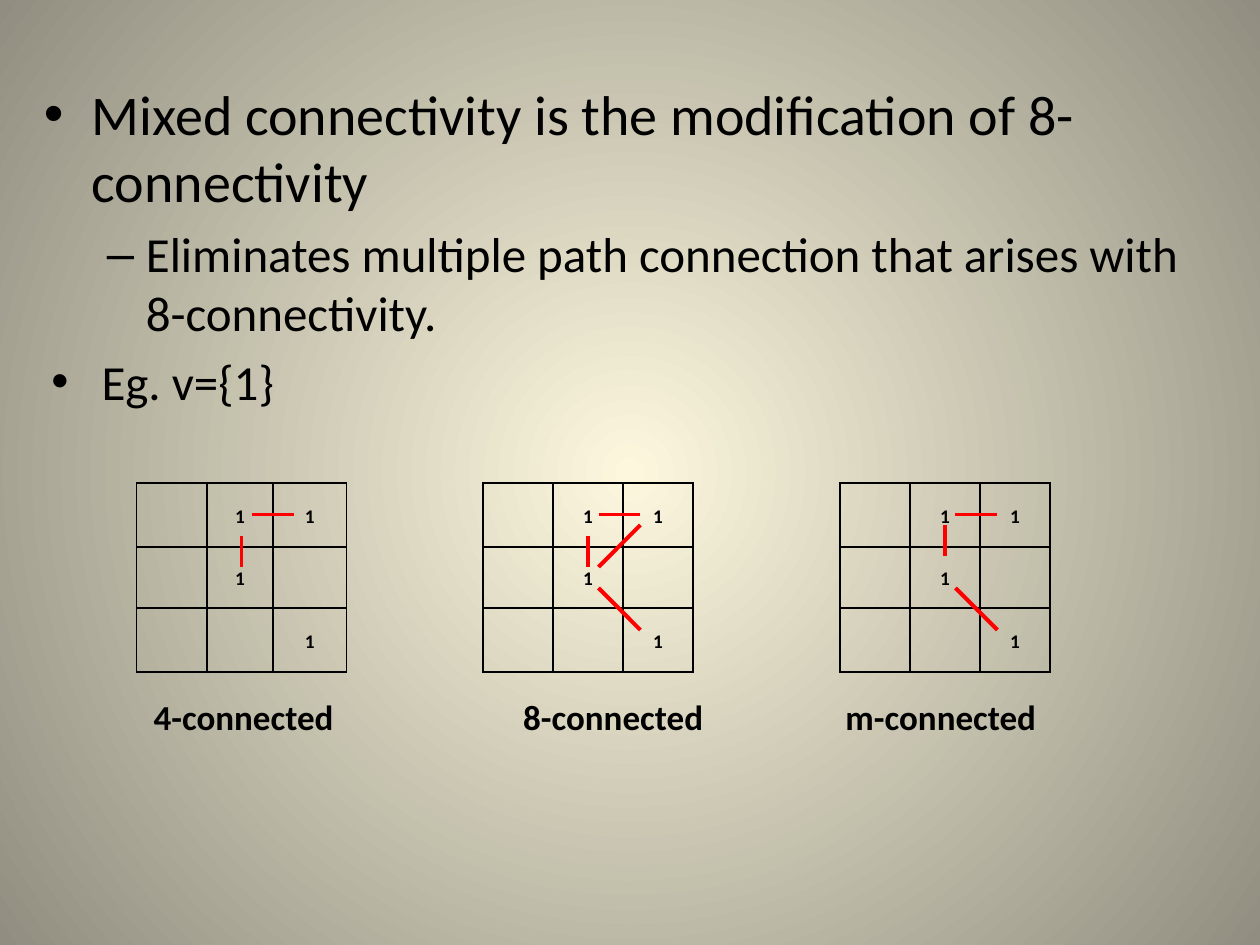
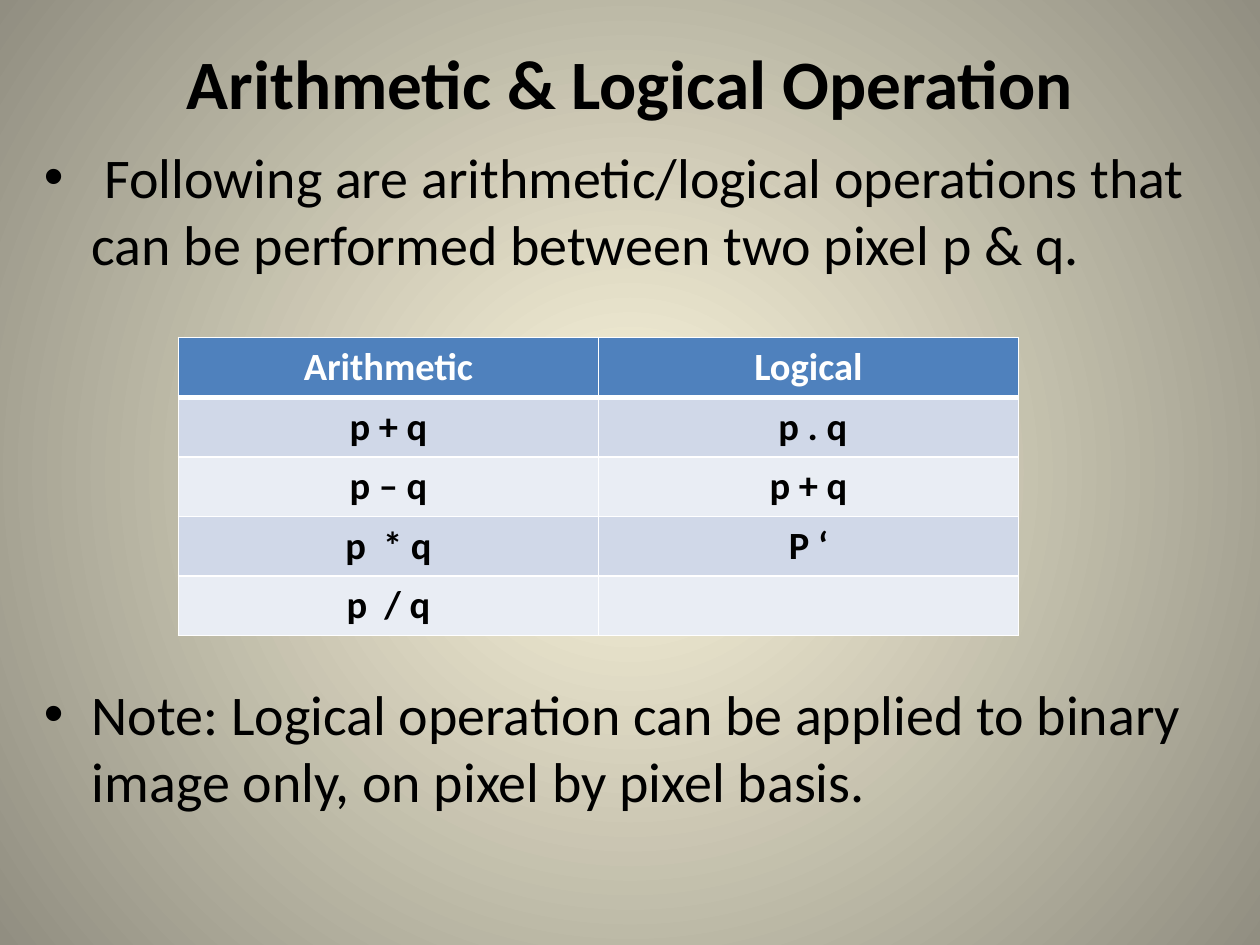
from dataclasses import dataclass
from typing import Any

from lxml.etree import SubElement
from pptx import Presentation
from pptx.dml.color import RGBColor
from pptx.enum.shapes import MSO_CONNECTOR
from pptx.enum.text import MSO_ANCHOR, PP_ALIGN
from pptx.oxml.ns import qn
from pptx.util import Emu, Inches, Pt

STRAIGHT = MSO_CONNECTOR.STRAIGHT
MIDDLE = MSO_ANCHOR.MIDDLE
CENTER = PP_ALIGN.CENTER
LEFT = PP_ALIGN.LEFT

FONT = "Calibri"
BLACK, WHITE, RED = "000000", "FFFFFF", "FF0000"
GLOW, EDGE = "FCF7DD", "918E81"
BLUE, BANDS = "4F81BD", ("D0D8E8", "E9EDF4")

WIDTH, HEIGHT = Inches(10), Inches(7.5)
COLS, ROWS = 120, 90

Link = tuple[int, int, int, int]
ACROSS: Link = (15, 3, 11, 3)
DOWN: Link = (10, 5, 10, 8)
RISE: Link = (15, 4, 11, 8)
FALL: Link = (15, 14, 11, 10)
ONES = (" 11", " 1 ", "  1")
GRID_TOP = 46


@dataclass
class Point:
    text: str
    size: float = 32
    left: float = 0.38
    hang: float = 0.38
    mark: str = "•"
    gap: float = 6.4


@dataclass
class Pixels:
    col: int
    cuts: tuple[float, float, float]
    name: str
    mid: float
    links: tuple[Link, ...]


def hue(code: str) -> RGBColor:
    return RGBColor.from_string(code)


def across(cols: float) -> Emu:
    return Emu(round(WIDTH * cols / COLS))


def down(rows: float) -> Emu:
    return Emu(round(HEIGHT * rows / ROWS))


def style(part: Any, size: float, bold: bool = False,
          code: str = BLACK, align: Any = CENTER) -> None:
    part.alignment = align
    for font in [part.font, *(run.font for run in part.runs)]:
        font.name, font.size, font.bold = FONT, Pt(size), bold
        font.color.rgb = hue(code)


def add_box(slide: Any, left: float, top: float, wide: float, high: float) -> Any:
    frame = slide.shapes.add_textbox(
        across(left), down(top), across(wide), down(high)).text_frame
    frame.word_wrap = True
    return frame


def add_label(slide: Any, left: float, top: float, wide: float, high: float,
              text: str, size: float) -> None:
    frame = add_box(slide, left, top, wide, high)
    frame.vertical_anchor = MIDDLE
    frame.text = text
    style(frame.paragraphs[0], size, True)


def add_points(slide: Any, top: float, high: float, points: list[Point]) -> None:
    frame = add_box(slide, 3, top, 114, high)
    for index, point in enumerate(points):
        part = frame.add_paragraph() if index else frame.paragraphs[0]
        part.text = point.text
        style(part, point.size, align=LEFT)
        part.space_before = Pt(point.gap)
        props = part._p.get_or_add_pPr()
        props.set("marL", str(Inches(point.left)))
        props.set("indent", str(-Inches(point.hang)))
        SubElement(props, qn("a:buFont"), typeface="Arial")
        SubElement(props, qn("a:buChar"), char=point.mark)


def set_edges(cell: Any, code: str, top: float = 1, base: float = 1) -> None:
    props = cell._tc.get_or_add_tcPr()
    for side, width in (("L", 1), ("R", 1), ("T", top), ("B", base)):
        line = SubElement(props, qn(f"a:ln{side}"), w=str(Pt(width)))
        fill = SubElement(line, qn("a:solidFill"))
        SubElement(fill, qn("a:srgbClr"), val=code)


def add_table(slide: Any, left: float, top: float,
              wides: list[float], highs: list[float]) -> Any:
    table = slide.shapes.add_table(
        len(highs), len(wides), across(left), down(top),
        across(sum(wides)), down(sum(highs))).table
    table.first_row = table.horz_banding = False
    for col, wide in zip(table.columns, wides):
        col.width = across(wide)
    for row, high in zip(table.rows, highs):
        row.height = down(high)
    return table


def add_link(slide: Any, col: int, link: Link) -> None:
    x1, y1, x2, y2 = link
    line = slide.shapes.add_connector(
        STRAIGHT, across(col + x1), down(GRID_TOP + y1),
        across(col + x2), down(GRID_TOP + y2))
    line.line.color.rgb = hue(RED)
    line.line.width = Pt(2.25)
    SubElement(line._element.spPr, qn("a:effectLst"))


def add_pixels(slide: Any, grid: Pixels) -> None:
    table = add_table(slide, grid.col, GRID_TOP, list(grid.cuts), [6.1, 5.8, 6.1])
    for row, marks in enumerate(ONES):
        for col, mark in enumerate(marks):
            cell = table.cell(row, col)
            cell.text = mark.strip()
            cell.vertical_anchor = MIDDLE
            cell.margin_left = cell.margin_right = Inches(0.07)
            cell.margin_top = cell.margin_bottom = 0
            part = cell.text_frame.paragraphs[0]
            style(part, 11, True)
            part.line_spacing = 1.15
            set_edges(cell, BLACK)
            cell.fill.background()
    for link in grid.links:
        add_link(slide, grid.col, link)
    add_label(slide, grid.col + grid.mid - 12, 65.6, 24, 5.2, grid.name, 20)


def add_facts(slide: Any, facts: list[tuple[str, str]]) -> None:
    table = add_table(slide, 17, 32.15, [40, 40], [5.68] * len(facts))
    for row, texts in enumerate(facts):
        for col, text in enumerate(texts):
            cell = table.cell(row, col)
            cell.text = text
            style(cell.text_frame.paragraphs[0], 22, True, BLACK if row else WHITE)
            set_edges(cell, WHITE, 3 if row == 1 else 1, 1 if row else 3)
            cell.fill.solid()
            cell.fill.fore_color.rgb = hue(BANDS[(row - 1) % 2] if row else BLUE)


def set_back(master: Any) -> None:
    fill = master.background.fill
    fill.gradient()
    for stop, code, place in zip(fill.gradient_stops, (GLOW, EDGE), (0, 1)):
        stop.color.rgb = hue(code)
        stop.position = place
    for ramp in master.element.cSld.xpath("./p:bg//a:gradFill"):
        for lin in ramp.findall(qn("a:lin")):
            ramp.remove(lin)
        ring = SubElement(ramp, qn("a:path"), path="circle")
        SubElement(ring, qn("a:fillToRect"),
                   {side: "50000" for side in "ltrb"})


deck = Presentation()
deck.slide_width, deck.slide_height = WIDTH, HEIGHT
set_back(deck.slide_master)
blank = deck.slide_layouts[6]

mixed = deck.slides.add_slide(blank)
add_points(mixed, 7, 36, [
    Point("Mixed connectivity is the modification of 8- connectivity"),
    Point("Eliminates multiple path connection that arises with 8-connectivity.",
          28, 0.81, 0.31, "–", 5.6),
    Point(" Eg. v={1}", 28, 0.37, 0.31, gap=5.6),
])
EVEN = (6.67, 6.67, 6.67)
for grid in (
    Pixels(13, (6.7, 6.3, 7), "4-connected", 10.2, (DOWN, ACROSS)),
    Pixels(46, EVEN, "8-connected", 12.4, (DOWN, ACROSS, RISE, FALL)),
    Pixels(80, EVEN, "m-connected", 9.6, ((10, 4, 10, 7), ACROSS, FALL)),
):
    add_pixels(mixed, grid)

logic = deck.slides.add_slide(blank)
add_label(logic, 6, 3.6, 108, 8.4, "Arithmetic & Logical Operation", 39.6)
add_points(logic, 13, 76, [
    Point(" Following are arithmetic/logical operations that can be performed "
          "between two pixel p & q."),
    Point("Note: Logical operation can be applied to binary image only, "
          "on pixel by pixel basis.", gap=230),
])
add_facts(logic, [
    ("Arithmetic", "Logical"),
    ("p + q", " p . q"),
    ("p – q", "p + q"),
    ("p  * q", "P ‘"),
    ("p  / q", ""),
])

deck.save("out.pptx")
